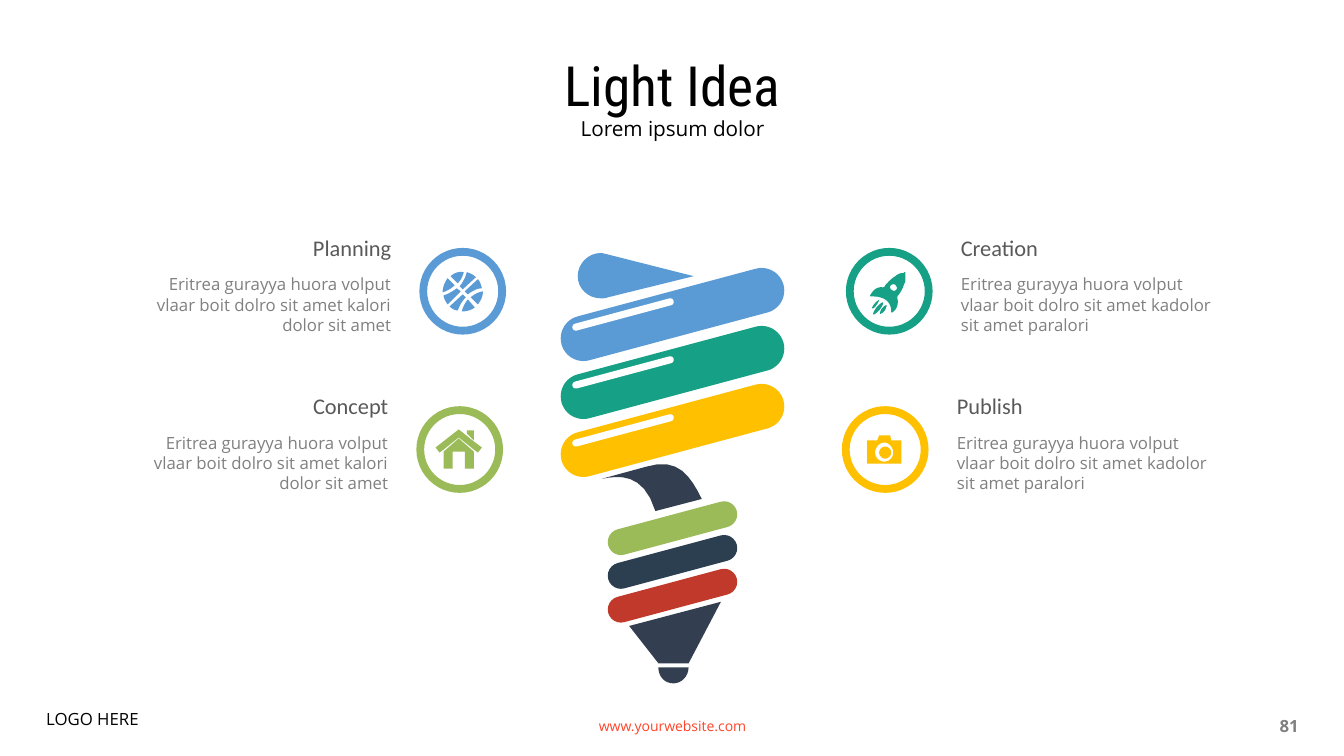
from pptx import Presentation
from pptx.dml.color import RGBColor
from pptx.enum.shapes import MSO_SHAPE
from pptx.enum.text import MSO_ANCHOR, PP_ALIGN
from pptx.util import Inches, Pt

BLUE, TEAL, YELLOW, GREEN = "5B9BD5", "16A085", "FFC000", "9BBB59"
NAVY, RED, SLATE, WHITE = "2C3F50", "C0392B", "333F50", "FFFFFF"
RING_SIZE = 0.86
CURVE_STEPS = 8

# Outlines in hundredths of an inch from the corner of their region
BALL = """M 40 38 L 43 41 L 56 29 C 53 26 50 25 47 24 C 46 29 43 34 40 38 Z
M 23 44 C 27 43 32 40 35 37 L 28 30 C 25 34 23 39 23 44 Z
M 41 43 L 37 40 C 33 43 28 46 24 47 C 24 50 26 53 28 56 Z
M 48 51 C 45 55 43 59 42 63 C 46 63 51 62 55 59 Z
M 58 31 L 45 43 L 48 46 C 52 43 57 40 62 40 C 61 36 60 33 58 31 Z
M 31 28 L 38 35 C 41 32 43 28 44 24 C 39 23 34 25 31 28 Z
M 46 49 L 43 46 L 30 58 C 32 60 35 62 38 62 C 40 57 42 53 46 49 Z
M 63 43 C 58 44 54 46 51 49 L 58 56 C 61 52 63 48 63 43 Z"""
HOUSE = """M 57 24 L 50 24 L 50 27 L 57 34 Z
M 57 48 L 57 45 L 42 32 L 27 45 L 27 62 L 36 62 L 36 45 L 48 45 L 48 62 L 57 62 Z
M 27 43 L 42 31 L 57 43 L 61 46 L 65 41 L 57 35 L 42 23 L 19 41 L 23 46 Z"""
ROCKET = """M 40 57 C 41 57 41 58 40 58 C 40 60 38 64 35 65 C 34 66 33 65 34 64 C 34 62 36 59 39 57 Z
M 37 54 C 37 54 37 55 37 55 C 36 58 33 63 28 66 C 27 66 27 66 27 65 C 28 62 31 57 36 54 Z
M 33 51 C 33 52 33 52 33 52 C 32 54 30 58 27 60 C 26 60 26 60 26 59 C 27 57 29 54 32 52 Z
M 47 36 C 44 36 42 40 46 42 C 49 44 52 40 50 38 C 49 36 48 36 47 36 Z
M 58 24 L 59 24 L 59 25 C 59 27 59 31 59 32 C 59 34 58 35 57 38 C 56 41 54 44 52 47
C 51 47 51 49 51 50 C 52 53 52 60 46 64 C 45 64 44 64 45 63 C 45 58 43 48 26 48
C 24 48 24 48 24 47 C 26 44 29 38 37 39 C 38 39 39 38 39 37 C 41 35 44 31 49 28
C 51 26 54 25 55 25 C 57 25 57 25 58 24 Z"""
CAMERA = """M 59 34 L 49 34 L 48 29 L 37 29 L 35 34 L 25 34 L 25 57 L 59 57 Z
M 42 55 C 37 55 33 51 33 46 C 33 41 37 36 42 36 C 47 36 51 41 51 46 C 51 51 47 55 42 55 Z
M 37 46 C 37 43 40 40 43 40 C 46 40 49 43 49 46 C 49 49 46 52 43 52 C 40 52 37 49 37 46 Z"""
BULB_TOP = """M 40 0 C 42 0 44 1 45 1 L 132 23 L 47 44 C 45 45 42 45 40 45
C 27 45 17 35 17 23 C 17 11 27 0 40 0 Z"""
BULB_NECK = "M 85 212 C 117 202 129 222 140 244 L 94 256 C 82 217 57 221 41 224 Z"
BULB_CONE = "M 159 346 L 127 407 L 97 407 L 68 370 Z"
BULB_TIP = "M 127 411 C 127 420 120 427 112 427 C 103 427 97 420 97 411 Z"


def color(value):
    return RGBColor.from_string(value)


def paint(shape, fill):
    shape.shadow.inherit = False
    shape.fill.solid()
    shape.fill.fore_color.rgb = color(fill)
    shape.line.fill.background()


def curve_points(start, controls):
    """Points along a cubic curve after its start."""
    first, second, end = controls
    for step in range(1, CURVE_STEPS + 1):
        t = step / CURVE_STEPS
        u = 1 - t
        yield tuple(u**3 * a + 3 * u * u * t * b + 3 * u * t * t * c + t**3 * d
                    for a, b, c, d in zip(start, first, second, end))


def add_outline(slide, left, top, outline, fill):
    tokens = iter(outline.split())

    def next_point():
        return (Inches(left + int(next(tokens)) / 100), Inches(top + int(next(tokens)) / 100))

    builder, points = None, []
    for command in tokens:
        if command == "M":
            points = [next_point()]
            if builder is None:
                builder = slide.shapes.build_freeform(*points[0], scale=1.0)
            else:
                builder.move_to(*points[0])
        elif command == "L":
            points.append(next_point())
        elif command == "C":
            controls = [next_point() for _ in range(3)]
            points.extend(curve_points(points[-1], controls))
        else:
            builder.add_line_segments(points[1:], close=True)
    paint(builder.convert_to_shape(), fill)


def format_text(shape, text, size, font, ink, align, spacing=None, bold=False):
    frame = shape.text_frame
    frame.text = text
    frame.word_wrap = True
    paragraph = frame.paragraphs[0]
    paragraph.alignment = align
    if spacing:
        paragraph.line_spacing = spacing
    run_font = paragraph.runs[0].font
    run_font.name, run_font.size, run_font.bold = font, Pt(size), bold
    run_font.color.rgb = color(ink)
    return frame


def add_text(slide, box, *style, **options):
    shape = slide.shapes.add_textbox(*map(Inches, box))
    return format_text(shape, *style, **options)


def add_header(slide, left, top, width):
    title = slide.shapes.title
    title.left, title.top = Inches(left), Inches(top)
    title.width, title.height = Inches(width), Inches(0.52)
    frame = format_text(title, "Light Idea", 39.6, "Roboto Condensed", "000000",
                        PP_ALIGN.CENTER, spacing=0.9)
    frame.vertical_anchor = MSO_ANCHOR.MIDDLE
    add_text(slide, (left, top + 0.53, width, 0.32), "Lorem ipsum dolor", 14.8, "Open Sans",
             "000000", PP_ALIGN.CENTER, spacing=0.8)


def add_slanted_bar(slide, center_x, center_y, length, thickness, fill):
    bar = slide.shapes.add_shape(
        MSO_SHAPE.ROUNDED_RECTANGLE, Inches(center_x - length / 2),
        Inches(center_y - thickness / 2), Inches(length), Inches(thickness))
    bar.adjustments[0] = 0.5
    bar.rotation = -15
    paint(bar, fill)


def add_bulb(slide, left, top):
    center = left + 1.11
    # Glass: top and three bars with highlights
    add_outline(slide, left, top, BULB_TOP, BLUE)
    add_outline(slide, left, top, BULB_NECK, SLATE)
    for index, fill in enumerate((BLUE, TEAL, YELLOW)):
        middle = top + 0.61 + 0.575 * index
        add_slanted_bar(slide, center, middle, 2.28, 0.45, fill)
        add_slanted_bar(slide, center - 0.49, middle, 1.04, 0.07, WHITE)
    # Socket: three short bars, cone and tip
    for index, fill in enumerate((GREEN, NAVY, RED)):
        add_slanted_bar(slide, center, top + 2.73 + 0.335 * index, 1.32, 0.26, fill)
    add_outline(slide, left, top, BULB_CONE, SLATE)
    add_outline(slide, left, top, BULB_TIP, SLATE)


def add_step(slide, left, top, heading, body, icon, fill, text_on_left):
    """Ring with its icon at left, top, and the text beside it."""
    ring = slide.shapes.add_shape(MSO_SHAPE.DONUT, Inches(left), Inches(top),
                                  Inches(RING_SIZE), Inches(RING_SIZE))
    ring.adjustments[0] = 0.09
    paint(ring, fill)
    add_outline(slide, left, top, icon, fill)

    width, gap = 2.52, 0.28
    text_left = left - gap - width if text_on_left else left + RING_SIZE + gap
    align = PP_ALIGN.RIGHT if text_on_left else PP_ALIGN.LEFT
    for offset, height, text, size, font, ink in (
            (-0.14, 0.27, heading, 16, "Calibri", "595959"),
            (0.26, 0.61, body, 12, "Open Sans", "808080")):
        frame = add_text(slide, (text_left, top + offset, width, height),
                         text, size, font, ink, align)
        frame.margin_left = frame.margin_right = frame.margin_top = frame.margin_bottom = 0


def add_footer(slide, top):
    add_text(slide, (0.36, top, 4.17, 0.43), "LOGO HERE", 12, "Open Sans", "000000",
             PP_ALIGN.LEFT, spacing=0.9)
    website = add_text(slide, (4.42, top, 4.5, 0.4), "www.yourwebsite.com", 10, "Open Sans",
                       "FF4429", PP_ALIGN.CENTER)
    number = add_text(slide, (9.83, top, 3.15, 0.4), "81", 12, "Open Sans", "808080",
                      PP_ALIGN.RIGHT, bold=True)
    website.vertical_anchor = number.vertical_anchor = MSO_ANCHOR.MIDDLE


def main():
    presentation = Presentation()
    presentation.slide_width, presentation.slide_height = Inches(13.33), Inches(7.5)
    slide = presentation.slides.add_slide(presentation.slide_layouts[5])
    add_header(slide, 0.92, 0.62, 11.5)
    add_bulb(slide, 5.56, 2.51)

    left_body = "Eritrea gurayya huora volput vlaar boit dolro sit amet kalori dolor sit amet"
    right_body = "Eritrea gurayya huora volput vlaar boit dolro sit amet kadolor sit amet paralori"
    add_step(slide, 4.16, 2.46, "Planning", left_body, BALL, BLUE, True)
    add_step(slide, 4.13, 4.03, "Concept", left_body, HOUSE, GREEN, True)
    add_step(slide, 8.39, 2.46, "Creation", right_body, ROCKET, TEAL, False)
    add_step(slide, 8.35, 4.03, "Publish", right_body, CAMERA, YELLOW, False)
    add_footer(slide, 7)
    presentation.save("out.pptx")


if __name__ == "__main__":
    main()
